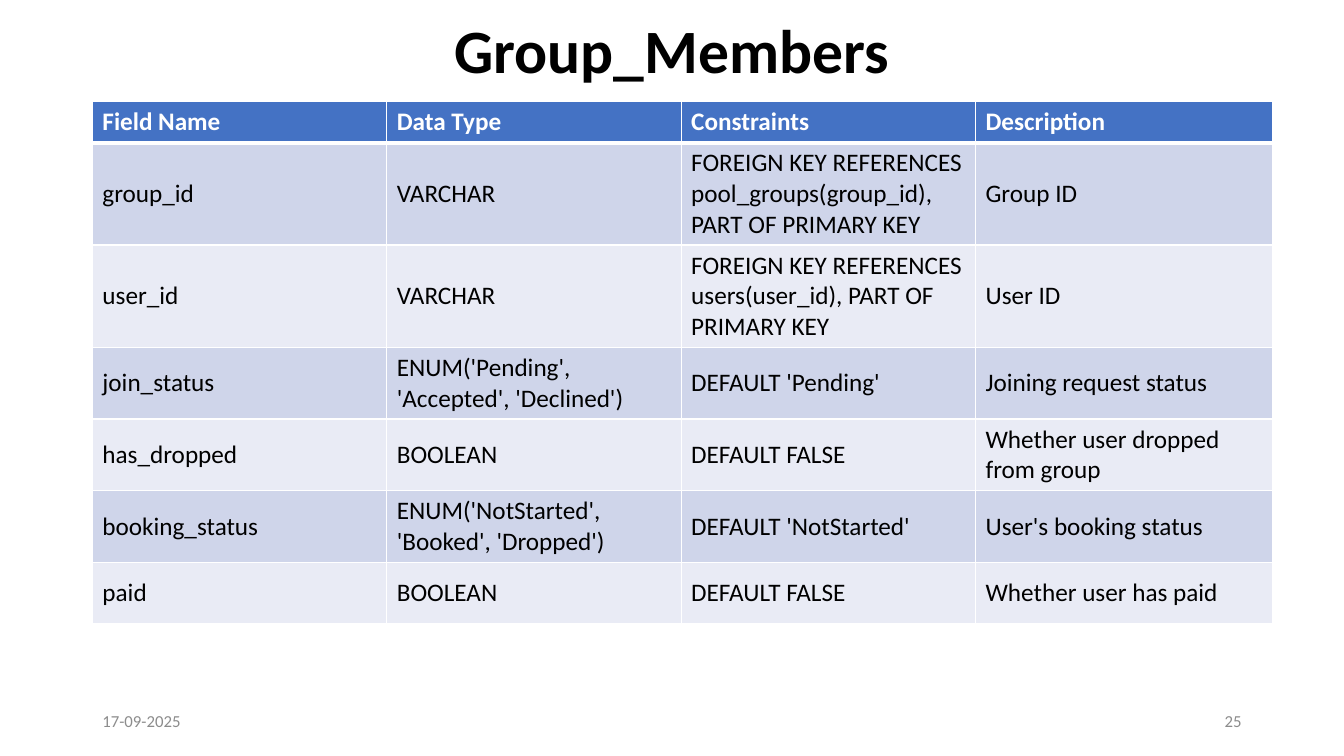
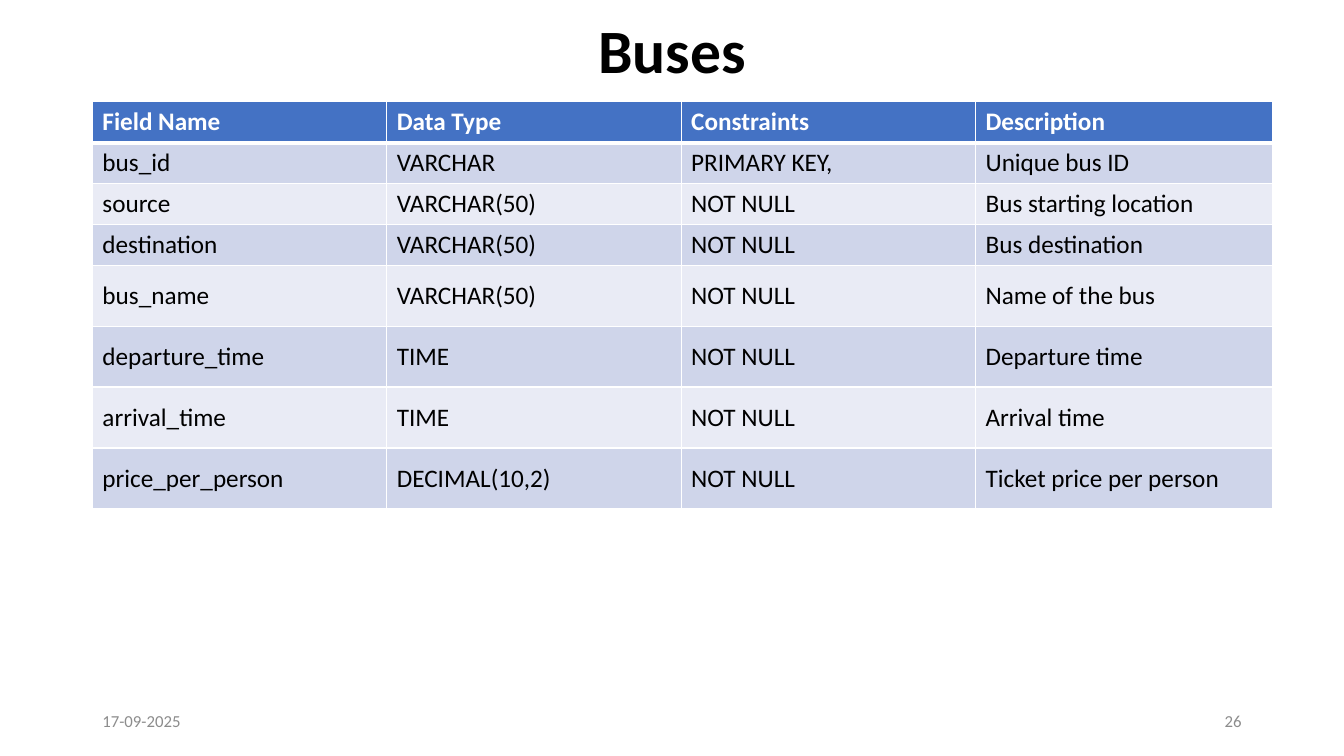
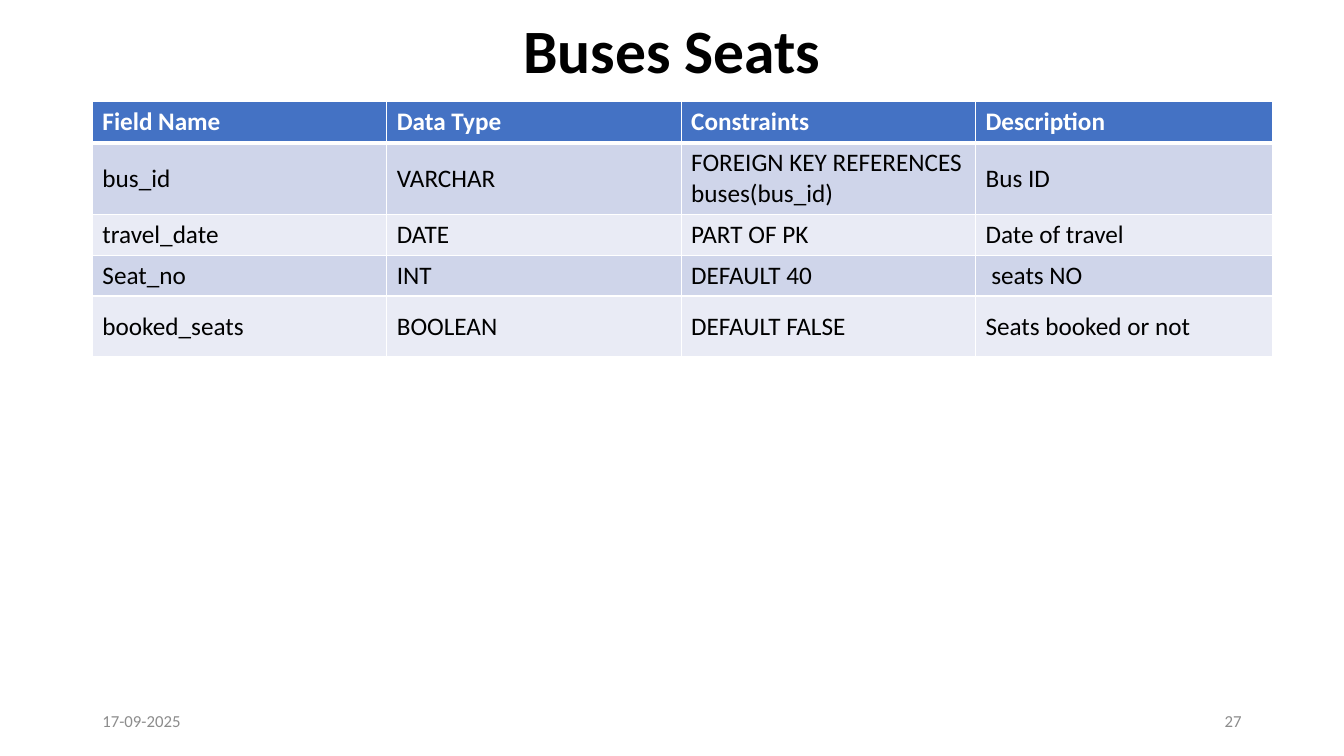
from dataclasses import dataclass

from lxml import etree
from pptx import Presentation
from pptx.dml.color import RGBColor as RGB
from pptx.enum.text import MSO_ANCHOR as Anchor, PP_ALIGN as Align
from pptx.oxml.ns import qn
from pptx.util import Pt


@dataclass(frozen=True)
class Theme:
    font: str = "Calibri"
    black: str = "000000"
    white: str = "FFFFFF"
    header: str = "4472C4"
    bands: tuple = ("CFD5EA", "E9EBF5")
    muted: str = "8C8C8C"
    title_size: int = 44
    table_size: int = 18
    footer_size: int = 12


T = Theme()

# Shared layout, in points
LEFT = 66
TITLE_BOX = (LEFT, -13.7, 828, 104.4)
TABLE_TOP = 72.7
COLUMNS = (210.3, 210.3, 210.3, 212.4)
LOW, TALL = 24.5, 43.5
FOOTER_TOP, FOOTER_W, FOOTER_H = 500.5, 216, 28.8
PAGE_LEFT = LEFT + TITLE_BOX[2] - FOOTER_W

DATE = "17-09-2025"
FIRST_PAGE = 25
HEADINGS = ("Field Name", "Data Type", "Constraints", "Description")

# Title, number of low rows (heading included), field rows
TABLES = [
    ("Group_Members", 3, [
        ("group_id", "VARCHAR",
         "FOREIGN KEY REFERENCES pool_groups(group_id), PART OF PRIMARY KEY",
         "Group ID"),
        ("user_id", "VARCHAR",
         "FOREIGN KEY REFERENCES users(user_id), PART OF PRIMARY KEY",
         "User ID"),
        ("join_status", "ENUM('Pending', 'Accepted', 'Declined')",
         "DEFAULT 'Pending'", "Joining request status"),
        ("has_dropped", "BOOLEAN", "DEFAULT FALSE",
         "Whether user dropped from group"),
        ("booking_status", "ENUM('NotStarted', 'Booked', 'Dropped')",
         "DEFAULT 'NotStarted'", "User's booking status"),
        ("paid", "BOOLEAN", "DEFAULT FALSE", "Whether user has paid"),
    ]),
    ("Buses", 4, [
        ("bus_id", "VARCHAR", "PRIMARY KEY,", "Unique bus ID"),
        ("source", "VARCHAR(50)", "NOT NULL", "Bus starting location"),
        ("destination", "VARCHAR(50)", "NOT NULL", "Bus destination"),
        ("bus_name", "VARCHAR(50)", "NOT NULL", "Name of the bus"),
        ("departure_time", "TIME", "NOT NULL", "Departure time"),
        ("arrival_time", "TIME", "NOT NULL", "Arrival time"),
        ("price_per_person", "DECIMAL(10,2)", "NOT NULL",
         "Ticket price per person"),
    ]),
    ("Buses Seats", 4, [
        ("bus_id", "VARCHAR", "FOREIGN KEY REFERENCES buses(bus_id)",
         "Bus ID"),
        ("travel_date", "DATE", "PART OF PK", "Date of travel"),
        ("Seat_no", "INT", "DEFAULT 40", " seats NO"),
        ("booked_seats", "BOOLEAN", "DEFAULT FALSE", "Seats booked or not"),
    ]),
]


def write(tf, text, size, color, bold=False, align=Align.LEFT):
    """Put one formatted run into the first paragraph."""
    tf.word_wrap = True
    p = tf.paragraphs[0]
    p.alignment = align
    r = p.add_run()
    r.text = text
    r.font.name = T.font
    r.font.size = Pt(size)
    r.font.bold = bold
    r.font.color.rgb = RGB.from_string(color)
    return p


def add_title(s, text):
    sp = s.shapes.title
    sp.left, sp.top, sp.width, sp.height = map(Pt, TITLE_BOX)
    sp.text_frame.vertical_anchor = Anchor.MIDDLE
    p = write(sp.text_frame, text, T.title_size, T.black, True, Align.CENTER)
    p.line_spacing = 0.9


def set_borders(cell, top, bottom):
    tc_pr = cell._tc.get_or_add_tcPr()
    for side, width in (("L", 1), ("R", 1), ("T", top), ("B", bottom)):
        ln = etree.SubElement(tc_pr, qn(f"a:ln{side}"), w=str(Pt(width)))
        fill = etree.SubElement(ln, qn("a:solidFill"))
        etree.SubElement(fill, qn("a:srgbClr"), val=T.white)


def fill_cell(cell, text, row):
    """Style a cell by its row: heading first, then alternating bands."""
    heading = row == 0
    set_borders(cell, top=3 if row == 1 else 1, bottom=3 if heading else 1)
    cell.fill.solid()
    color = T.header if heading else T.bands[(row - 1) % 2]
    cell.fill.fore_color.rgb = RGB.from_string(color)
    cell.vertical_anchor = Anchor.MIDDLE
    write(cell.text_frame, text, T.table_size,
          T.white if heading else T.black, heading)


def add_field_table(s, fields, low_rows):
    rows = [HEADINGS, *fields]
    heights = [LOW if i < low_rows else TALL for i in range(len(rows))]
    table = s.shapes.add_table(
        len(rows), len(COLUMNS), Pt(LEFT), Pt(TABLE_TOP),
        Pt(sum(COLUMNS)), Pt(sum(heights))).table
    for column, width in zip(table.columns, COLUMNS):
        column.width = Pt(width)
    for i, (texts, height) in enumerate(zip(rows, heights)):
        table.rows[i].height = Pt(height)
        for j, text in enumerate(texts):
            fill_cell(table.cell(i, j), text, i)


def add_footer(s, page):
    for left, text, align in ((LEFT, DATE, Align.LEFT),
                              (PAGE_LEFT, str(page), Align.RIGHT)):
        tf = s.shapes.add_textbox(Pt(left), Pt(FOOTER_TOP), Pt(FOOTER_W),
                                  Pt(FOOTER_H)).text_frame
        tf.vertical_anchor = Anchor.MIDDLE
        write(tf, text, T.footer_size, T.muted, align=align)


def main():
    prs = Presentation()
    prs.slide_width, prs.slide_height = Pt(960), Pt(540)
    title_only = prs.slide_layouts[5]
    for page, (title, low_rows, fields) in enumerate(TABLES, FIRST_PAGE):
        s = prs.slides.add_slide(title_only)
        add_title(s, title)
        add_field_table(s, fields, low_rows)
        add_footer(s, page)
    prs.save("out.pptx")


if __name__ == "__main__":
    main()
